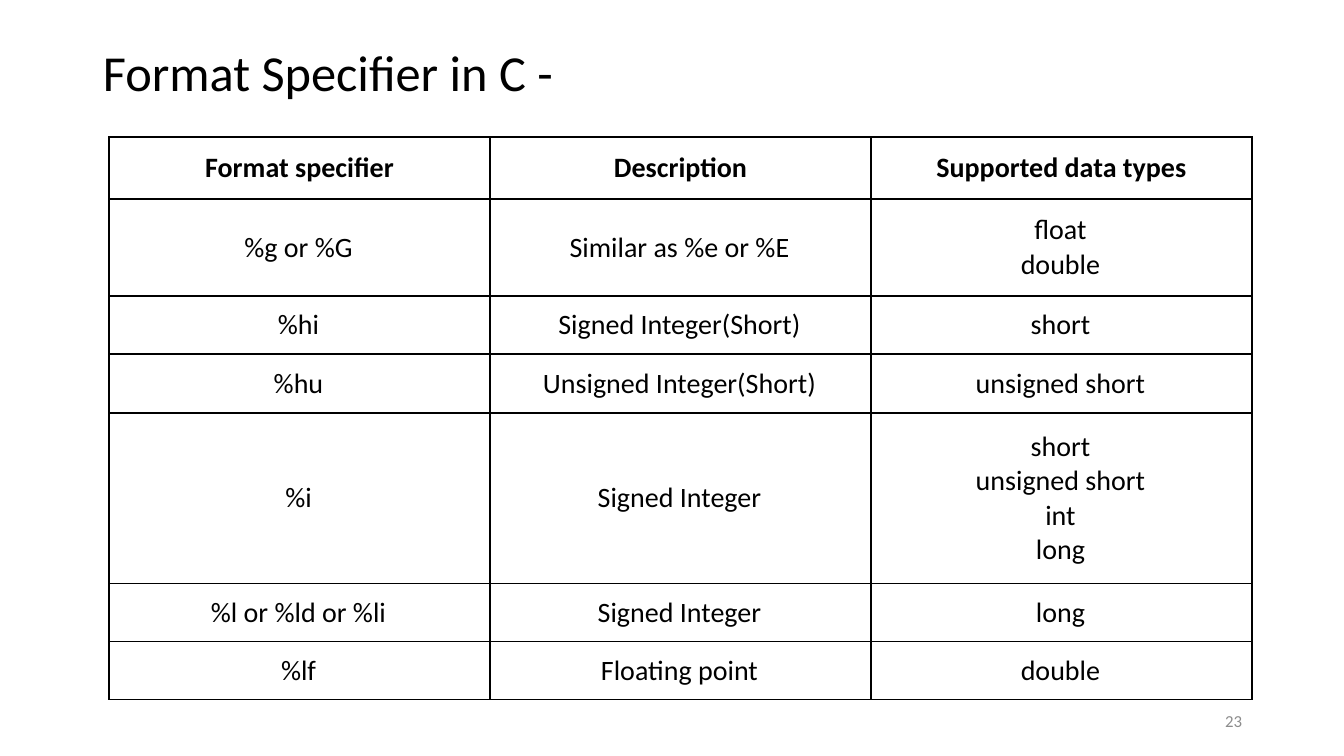
from lxml.etree import SubElement
from pptx import Presentation
from pptx.dml.color import RGBColor
from pptx.enum.text import MSO_ANCHOR, PP_ALIGN
from pptx.oxml.ns import qn
from pptx.util import Emu, Pt

TITLE = "Format Specifier in C -"
NUMBER = "23"
ROWS = [
    ("Format specifier", "Description", "Supported data types"),
    ("%g or %G", "Similar as %e or %E", "float\ndouble"),
    ("%hi", "Signed Integer(Short)", "short"),
    ("%hu", "Unsigned Integer(Short)", "unsigned short"),
    ("%i", "Signed Integer", "short\nunsigned short\nint\nlong"),
    ("%l or %ld or %li", "Signed Integer", "long"),
    ("%lf", "Floating point", "double"),
]
HEIGHTS = [62, 97, 58, 59, 171, 58, 58]
COL_WIDTH = 381
HEAD_PAD = (6, 2, 6, 2)
BODY_PAD = (2, 1, 4, 1)
BLACK, GREY = "000000", "8C8C8C"


def px(n):
    return Emu(round(n * 914400 / 100.8))


def color(code):
    return RGBColor.from_string(code)


def write(para, text, size, code, align, bold=False):
    para.text = text
    para.alignment = align
    font = para.font
    font.name, font.size, font.bold = "Calibri", Pt(size), bold
    font.color.rgb = color(code)


def label(slide, box, text, size, code, align):
    frame = slide.shapes.add_textbox(*map(px, box)).text_frame
    frame.word_wrap = True
    frame.vertical_anchor = MSO_ANCHOR.MIDDLE
    para = frame.paragraphs[0]
    write(para, text, size, code, align)
    return para


def border(cell, code):
    props = cell._tc.get_or_add_tcPr()
    for side in ("a:lnL", "a:lnR", "a:lnT", "a:lnB"):
        line = SubElement(props, qn(side), w=str(Pt(1)))
        fill = SubElement(line, qn("a:solidFill"))
        SubElement(fill, qn("a:srgbClr"), val=code)


def grid(slide, left, top):
    count = len(ROWS[0])
    table = slide.shapes.add_table(
        len(ROWS), count, px(left), px(top),
        px(COL_WIDTH * count), px(sum(HEIGHTS))).table
    for col in table.columns:
        col.width = px(COL_WIDTH)
    for r, (texts, height) in enumerate(zip(ROWS, HEIGHTS)):
        table.rows[r].height = px(height)
        head = r == 0
        pad = [px(n) for n in (HEAD_PAD if head else BODY_PAD)]
        for c, text in enumerate(texts):
            cell = table.cell(r, c)
            (cell.margin_left, cell.margin_top,
             cell.margin_right, cell.margin_bottom) = pad
            cell.vertical_anchor = MSO_ANCHOR.MIDDLE
            border(cell, BLACK)
            cell.fill.background()
            write(cell.text_frame.paragraphs[0], text, 20, BLACK,
                  PP_ALIGN.CENTER, head)


def main():
    deck = Presentation()
    deck.slide_width, deck.slide_height = px(1344), px(756)
    slide = deck.slides.add_slide(deck.slide_layouts[6])
    title = label(slide, (93, 40, 1159, 71), TITLE, 36, BLACK, PP_ALIGN.LEFT)
    title.line_spacing = 0.9
    label(slide, (950, 701, 302, 40), NUMBER, 12, GREY, PP_ALIGN.RIGHT)
    grid(slide, 109, 137)
    deck.save("out.pptx")


if __name__ == "__main__":
    main()
